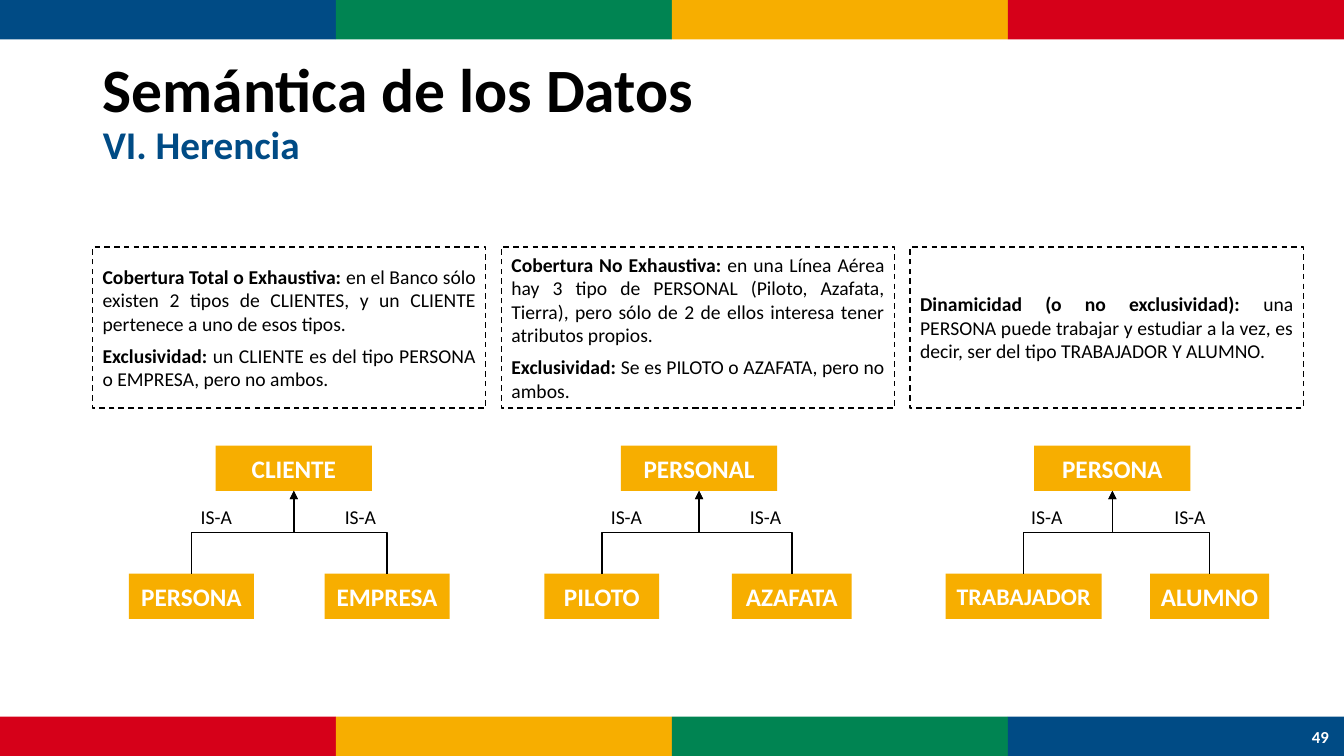
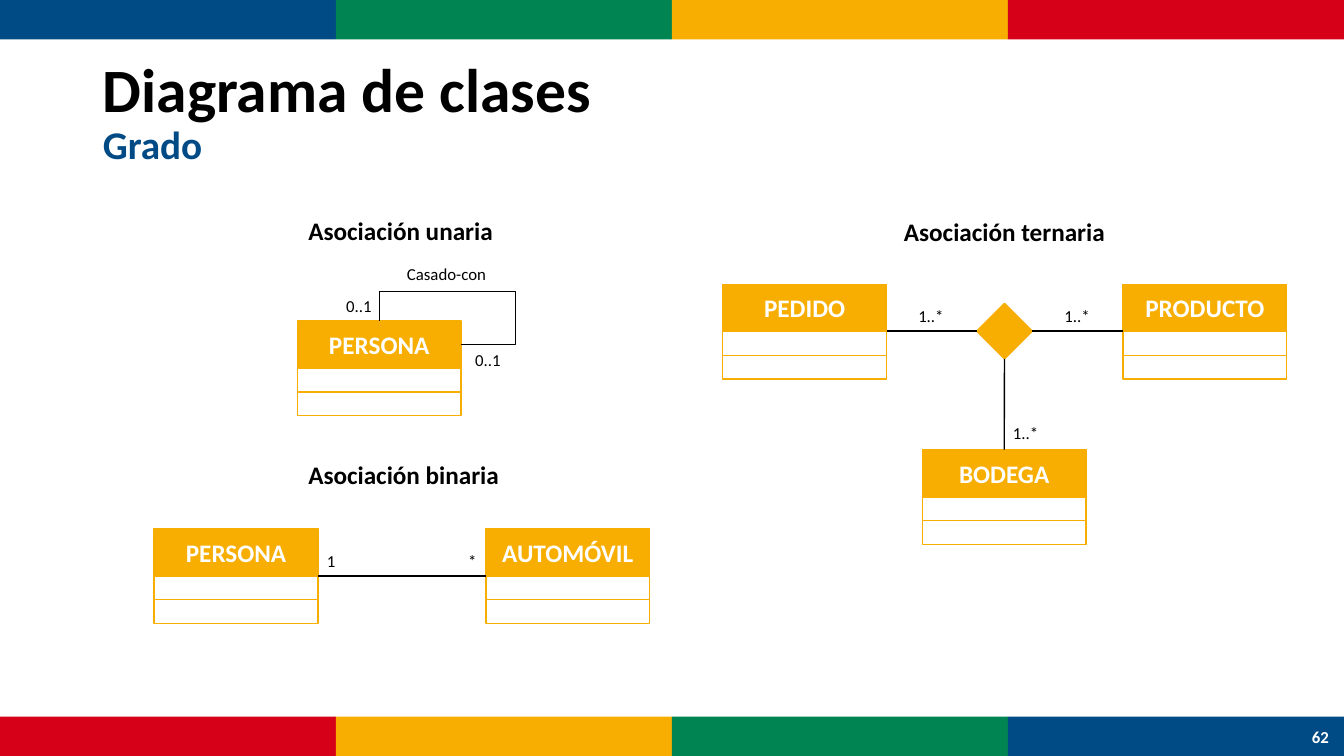
"""Builds two slides on inheritance trees and the degree of class associations."""
import lxml.etree
import pptx
import pptx.dml.color
import pptx.enum.dml
import pptx.enum.shapes
import pptx.enum.text
import pptx.oxml.ns
import pptx.util

SHAPE = pptx.enum.shapes.MSO_SHAPE
CONNECTOR = pptx.enum.shapes.MSO_CONNECTOR
ALIGN = pptx.enum.text.PP_ALIGN
MIDDLE = pptx.enum.text.MSO_ANCHOR.MIDDLE
rgb = pptx.dml.color.RGBColor.from_string
qn = pptx.oxml.ns.qn
Pt = pptx.util.Pt

BLUE, GREEN, AMBER, RED = "004B85", "008452", "F7AE00", "D60019"
BLACK, WHITE = "000000", "FFFFFF"
FONT = "Calibri"
CELL = pptx.util.Inches(0.1)
COLS, ROWS = 133.33, 75
BAND = 3.9


def box(s, x, y, w, h, paras=(), shape=SHAPE.RECTANGLE, fill=None, line=None,
        size=18, color=WHITE, align=ALIGN.CENTER, after=0):
    """Adds a shape, or a text box if shape is None; each paragraph is (bold, regular)."""
    at = [round(v * CELL) for v in (x, y, w, h)]
    sp = s.shapes.add_textbox(*at) if shape is None else s.shapes.add_shape(shape, *at)
    sp.shadow.inherit = False
    for part, value in ((sp.fill, fill), (sp.line.fill, line)):
        if value:
            part.solid()
            part.fore_color.rgb = rgb(value)
        else:
            part.background()
    if line:
        sp.line.width = Pt(1)
    tf = sp.text_frame
    tf.word_wrap = True
    tf.vertical_anchor = MIDDLE
    if shape is None:
        tf.margin_left = tf.margin_right = 0
    for i, para in enumerate(paras):
        p = tf.add_paragraph() if i else tf.paragraphs[0]
        for key, value in {"alignment": align, "space_after": Pt(after)}.items():
            setattr(p, key, value)
        for text, bold in zip(para, (True, False)):
            if text:
                r = p.add_run()
                r.text = text
                r.font.color.rgb = rgb(color)
                for key, value in {"name": FONT, "size": Pt(size), "bold": bold}.items():
                    setattr(r.font, key, value)
    return sp


def link(s, kind, x1, y1, x2, y2, begin=None, end=None):
    """Adds a black connector; begin and end are (shape, site) pairs to join."""
    c = s.shapes.add_connector(kind, *[round(v * CELL) for v in (x1, y1, x2, y2)])
    c.line.color.rgb = rgb(BLACK)
    c.line.width = Pt(1)
    lxml.etree.SubElement(c._element.spPr, qn("a:effectLst"))
    if begin:
        c.begin_connect(*begin)
    if end:
        c.end_connect(*end)
    return c


prs = pptx.Presentation()
prs.slide_width = round(COLS * CELL)
prs.slide_height = ROWS * CELL
layout = prs.slide_layouts[5]

slides = []
for title, subtitle, number in (("Semántica de los Datos", "VI. Herencia", "49"),
                                ("Diagrama de clases", "Grado", "62")):
    s = prs.slides.add_slide(layout)
    slides.append(s)
    sp = s.shapes.title
    for key, value in {"left": 9.2, "top": 4, "width": 115, "height": 14.5}.items():
        setattr(sp, key, round(value * CELL))
    sp.text_frame.vertical_anchor = MIDDLE
    p = sp.text_frame.paragraphs[0]
    p.alignment = ALIGN.LEFT
    p.line_spacing = 0.9
    for text, size, color in ((title, 44, BLACK), (subtitle, 28, BLUE)):
        if p.runs:
            p.add_line_break()
        r = p.add_run()
        r.text = text
        r.font.color.rgb = rgb(color)
        for key, value in {"name": FONT, "size": Pt(size), "bold": True}.items():
            setattr(r.font, key, value)
    box(s, 128.7, 71.1, 4.6, 4, [(number, "")], None, size=12)

inheritance, degree = slides

palette = (BLUE, GREEN, AMBER, RED)
anchor = layout.placeholders[0]._element
for row, colors in enumerate((palette, palette[::-1])):
    for col, color in enumerate(colors):
        sp = box(inheritance, col * COLS / 4, row * (ROWS - BAND), COLS / 4, BAND, fill=color)
        sp._element.nvSpPr.cNvPr.set("id", str(20 + 4 * row + col))
        anchor.addprevious(sp._element)

s = inheritance
trees = (
    ([("Cobertura Total o Exhaustiva: ",
       "en el Banco sólo existen 2 tipos de CLIENTES, y un CLIENTE pertenece a uno de esos tipos."),
      ("Exclusividad: ", "un CLIENTE es del tipo PERSONA o EMPRESA, pero no ambos.")],
     "CLIENTE", 21.4, (("PERSONA", 12.8, 12.4, 18.9), ("EMPRESA", 32.2, 12.4, 33.2))),
    ([("Cobertura No Exhaustiva: ",
       "en una Línea Aérea hay 3 tipo de PERSONAL (Piloto, Azafata, Tierra), "
       "pero sólo de 2 de ellos interesa tener atributos propios. "),
      ("Exclusividad: ", "Se es PILOTO o AZAFATA, pero no ambos.")],
     "PERSONAL", 61.6, (("PILOTO", 54, 11.4, 59.6), ("AZAFATA", 72.6, 11.9, 73.4))),
    ([("Dinamicidad (o no exclusividad): ",
       "una PERSONA puede trabajar y estudiar a la vez, es decir, ser del tipo TRABAJADOR Y ALUMNO.")],
     "PERSONA", 102.6, (("TRABAJADOR", 93.8, 15.5, 101.3), ("ALUMNO", 114.1, 11.8, 115.5))),
)
ROOT_Y, CHILD_Y, NODE_H, ROOT_W = 44.2, 56.9, 4.5, 15.5
turns = ({"rot": "5400000", "flipH": "1", "flipV": "1"},
         {"rot": "16200000", "flipH": "0", "flipV": "1"})
for col, (paras, root, root_x, children) in enumerate(trees):
    sp = box(s, 9.2 + 40.55 * col, 24.5, 39, 16, paras, line=BLACK, size=14,
             color=BLACK, align=ALIGN.JUSTIFY, after=6)
    sp.line.dash_style = pptx.enum.dml.MSO_LINE.DASH
    parent = box(s, root_x, ROOT_Y, ROOT_W, NODE_H, [(root, "")], fill=AMBER)
    x2, y2 = root_x + ROOT_W / 2, ROOT_Y + NODE_H
    for (name, x, w, label_x), turn in zip(children, turns):
        child = box(s, x, CHILD_Y, w, NODE_H, [(name, "")], fill=AMBER,
                    size=17 if len(name) > 8 else 18)
        x1 = x + w / 2
        c = link(s, CONNECTOR.ELBOW, x1, CHILD_Y, x2, y2, (child, 0), (parent, 2))
        rise, run = CHILD_Y - y2, abs(x2 - x1)
        frame = {"left": (x1 + x2 - rise) / 2, "top": (CHILD_Y + y2 - run) / 2,
                 "width": rise, "height": run}
        for key, value in frame.items():
            setattr(c, key, round(value * CELL))
        xfrm = c._element.spPr.find(qn("a:xfrm"))
        for key, value in turn.items():
            xfrm.set(key, value)
        lxml.etree.SubElement(c._element.spPr.find(qn("a:ln")), qn("a:tailEnd"), type="triangle")
        box(s, label_x, 49.55, 5.1, 3.4, [("", "IS-A")], None, size=14, color=BLACK)

s = degree
CLASS_W, HEAD_H, SLOT_H = 16.25, 4.7, 2.35
heads = []
for name, x, y in (("PRODUCTO", 111.4, 28.2), ("PEDIDO", 71.7, 28.2), ("BODEGA", 91.5, 44.6),
                   ("AUTOMÓVIL", 48.2, 52.45), ("PERSONA", 15.3, 52.45), ("PERSONA", 29.5, 31.85)):
    heads.append(box(s, x, y, CLASS_W, HEAD_H, [(name, "")], fill=AMBER, line=AMBER))
    for row in range(2):
        box(s, x, y + HEAD_H + row * SLOT_H, CLASS_W, SLOT_H, line=AMBER)
store, spouse = heads[2], heads[5]

diamond = box(s, 96.9, 30.1, 5.5, 5.5, shape=SHAPE.DIAMOND, fill=AMBER, line=AMBER)
link(s, CONNECTOR.STRAIGHT, 87.95, 32.85, 96.9, 32.85, end=(diamond, 1))
link(s, CONNECTOR.STRAIGHT, 102.4, 32.85, 111.4, 32.85, begin=(diamond, 3))
link(s, CONNECTOR.STRAIGHT, 99.65, 35.6, 99.65, 44.6, (diamond, 2), (store, 0))
link(s, CONNECTOR.STRAIGHT, 31.55, 57.15, 48.2, 57.15)

c = link(s, CONNECTOR.ELBOW, 45.75, 34.2, 37.63, 31.85, (spouse, 3), (spouse, 0))
geom = c._element.spPr.find(qn("a:prstGeom"))
geom.set("prst", "bentConnector4")
guides = geom.find(qn("a:avLst"))
if guides is None:
    guides = lxml.etree.SubElement(geom, qn("a:avLst"))
for name, value in (("adj1", -66400), ("adj2", 224200)):
    lxml.etree.SubElement(guides, qn("a:gd"), name=name, fmla=f"val {value}")

for text, x, y, w in (("1..*", 104.4, 29.8, 4.9), ("1..*", 89.9, 29.8, 4.9), ("1..*", 99.3, 41.4, 4.9),
                      ("*", 45.6, 54.1, 2.5), ("1", 31.6, 54.1, 2.5), ("0..1", 46, 34.2, 4.8),
                      ("0..1", 33.2, 28.8, 4.8), ("Casado-con", 37.8, 25.7, 13)):
    box(s, x, y, w, 3, [("", text)], None, size=12, color=BLACK)
for text, x, y in (("Asociación unaria", 21.4, 20.9), ("Asociación binaria", 21.7, 45.1),
                   ("Asociación ternaria", 81.3, 21)):
    box(s, x, y, 36.7, 4, [(text, "")], None, color=BLACK)

prs.save("out.pptx")
